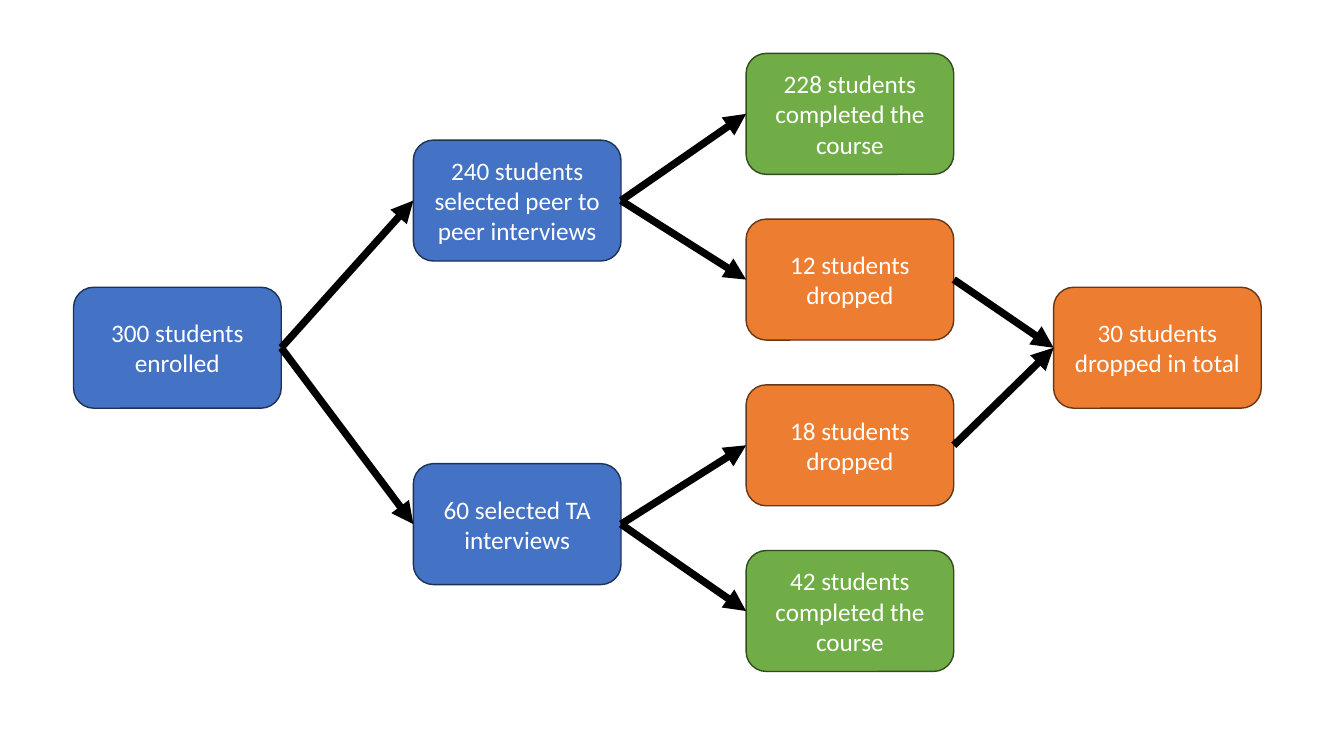
from lxml.etree import SubElement
from pptx import Presentation
from pptx.dml.color import RGBColor
from pptx.enum.shapes import MSO_CONNECTOR, MSO_SHAPE
from pptx.enum.text import MSO_ANCHOR, PP_ALIGN
from pptx.oxml.ns import qn
from pptx.util import Inches, Pt

BLUE = ("4472C4", "1E3256")
GREEN = ("70AD47", "314C1F")
ORANGE = ("ED7D31", "683715")
WIDTH, HEIGHT = 2.06, 1.2
LEFT_SITE, RIGHT_SITE = 1, 3
OUTCOME_TOP, OUTCOME_STEP = 0.53, 1.644


def paint(target, color):
    target.solid()
    target.fore_color.rgb = RGBColor.from_string(color)


def add_box(slide, text, left, top, colors):
    fill, border = colors
    box = slide.shapes.add_shape(
        MSO_SHAPE.ROUNDED_RECTANGLE,
        Inches(left), Inches(top), Inches(WIDTH), Inches(HEIGHT),
    )
    box.shadow.inherit = False
    paint(box.fill, fill)
    paint(box.line.fill, border)
    box.line.width = Pt(1)
    frame = box.text_frame
    frame.word_wrap = True
    frame.vertical_anchor = MSO_ANCHOR.MIDDLE
    frame.text = text
    paragraph = frame.paragraphs[0]
    paragraph.alignment = PP_ALIGN.CENTER
    font = paragraph.runs[0].font
    font.name = "Calibri"
    font.size = Pt(18)
    paint(font.fill, "FFFFFF")
    return box


def add_arrow(slide, source, target):
    arrow = slide.shapes.add_connector(MSO_CONNECTOR.STRAIGHT, 0, 0, 0, 0)
    arrow.begin_connect(source, RIGHT_SITE)
    arrow.end_connect(target, LEFT_SITE)
    paint(arrow.line.fill, "000000")
    arrow.line.width = Pt(5.25)
    SubElement(arrow.line._ln, qn("a:tailEnd"), type="triangle")
    SubElement(arrow._element.spPr, qn("a:effectLst"))


def main():
    deck = Presentation()
    deck.slide_width = Inches(13.33)
    deck.slide_height = Inches(7.5)
    slide = deck.slides.add_slide(deck.slide_layouts[6])

    enrolled = add_box(slide, "300 students enrolled", 0.73, 2.85, BLUE)
    peer = add_box(
        slide, "240 students selected peer to peer interviews", 4.1, 1.39, BLUE
    )
    assistant = add_box(slide, "60 selected TA interviews", 4.1, 4.6, BLUE)
    outcomes = [
        ("228 students completed the course", GREEN),
        ("12 students dropped", ORANGE),
        ("18 students dropped", ORANGE),
        ("42 students completed the course", GREEN),
    ]
    peer_done, peer_drop, assistant_drop, assistant_done = [
        add_box(slide, text, 7.4, OUTCOME_TOP + row * OUTCOME_STEP, colors)
        for row, (text, colors) in enumerate(outcomes)
    ]
    total = add_box(slide, "30 students dropped in total", 10.45, 2.85, ORANGE)

    for source, target in [
        (enrolled, peer),
        (enrolled, assistant),
        (peer, peer_done),
        (peer, peer_drop),
        (assistant, assistant_drop),
        (assistant, assistant_done),
        (peer_drop, total),
        (assistant_drop, total),
    ]:
        add_arrow(slide, source, target)

    deck.save("out.pptx")


if __name__ == "__main__":
    main()
